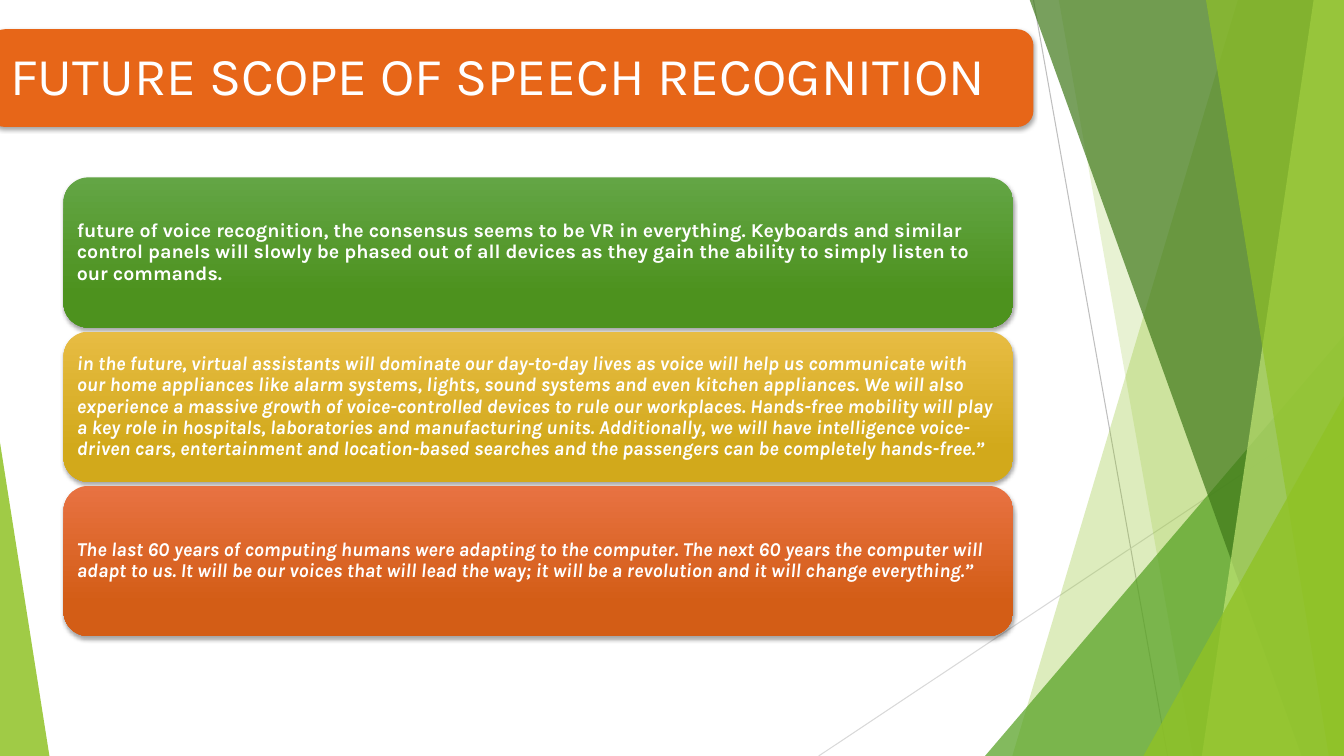
from lxml import etree
from pptx import Presentation
from pptx.dml.color import RGBColor
from pptx.enum.shapes import MSO_CONNECTOR as CONN, MSO_SHAPE as SHAPE
from pptx.enum.text import MSO_ANCHOR as ANCHOR, MSO_AUTO_SIZE as AUTO, PP_ALIGN as ALIGN
from pptx.oxml.ns import qn
from pptx.util import Inches, Pt

C = {
    "white": "FFFFFF", "black": "000000", "grey": "BFBFBF", "light_grey": "D9D9D9",
    "lime": "90C226", "green": "54A021", "dark_green": "3F7819", "pale_lime": "C0E474",
    "orange": "E76618",
    "green_top": "63A545", "green_end": "4D921E",
    "gold_top": "E7BC43", "gold_end": "D2A91B",
    "red_top": "E87242", "red_end": "D35D16",
}


def write(sp, text, size=14, bold=False, italic=False, inset=0.13):
    tf = sp.text_frame
    tf.word_wrap = True
    tf.auto_size = AUTO.NONE
    tf.vertical_anchor = ANCHOR.MIDDLE
    tf.margin_left = tf.margin_right = tf.margin_top = tf.margin_bottom = Inches(inset)
    p = tf.paragraphs[0]
    p.alignment = ALIGN.LEFT
    p.line_spacing = 0.9
    r = p.add_run()
    r.text = text
    r.font.name = "Karla"
    r.font.size = Pt(size)
    r.font.bold = bold
    r.font.italic = italic
    r.font.color.rgb = RGBColor.from_string(C["white"])


def paint(sp, color, alpha=100, end=None, shadow=False):
    sp.line.fill.background()
    sp.shadow.inherit = False
    if end:
        sp.fill.gradient()
        sp.fill.gradient_angle = 270
        for stop, name, position in zip(sp.fill.gradient_stops, (color, end), (0, 0.78)):
            stop.color.rgb = RGBColor.from_string(C[name])
            stop.position = position
    else:
        sp.fill.solid()
        sp.fill.fore_color.rgb = RGBColor.from_string(C[color])
    spPr = sp._element.spPr
    if alpha < 100:
        clr = spPr.find(qn("a:solidFill")).find(qn("a:srgbClr"))
        etree.SubElement(clr, qn("a:alpha"), val=str(alpha * 1000))
    if shadow:
        outer = etree.SubElement(
            spPr.find(qn("a:effectLst")), qn("a:outerShdw"), blurRad=str(Pt(3)),
            dist=str(Pt(2)), dir="5400000", algn="ctr", rotWithShape="0")
        clr = etree.SubElement(outer, qn("a:srgbClr"), val=C["black"])
        etree.SubElement(clr, qn("a:alpha"), val="35000")


prs = Presentation()
prs.slide_width, prs.slide_height = Inches(13.33), Inches(7.5)
s = prs.slides.add_slide(prs.slide_layouts[5])

for x1, y1, x2, y2, color in [
    (10.25, 0, 11.58, 7.5, "grey"),
    (13.33, 4.03, 8.12, 7.5, "light_grey"),
]:
    line = s.shapes.add_connector(CONN.STRAIGHT, Inches(x1), Inches(y1), Inches(x2), Inches(y2))
    line.line.width = Pt(0.75)
    line.line.color.rgb = RGBColor.from_string(C[color])
    etree.SubElement(line._element.spPr, qn("a:effectLst"))

for kind, geometry, color, alpha in [
    ("band", (12.28, 10.04), "lime", 30),
    ("band", (10.5, 11.83), "lime", 20),
    ("triangle", (9.77, 3.33, 3.56, 4.17, 1), "green", 72),
    ("band", (10.21, 12.91), "dark_green", 70),
    ("band", (13.03, 11.92), "pale_lime", 70),
    ("band", (11.96, 13.18), "lime", 65),
    ("triangle", (11.34, 3.93, 1.99, 3.57, 1), "lime", 80),
    ("triangle", (0, 4.39, 0.49, 3.11, 0), "lime", 85),
]:
    if kind == "band":
        top_x, bottom_x = geometry
        fb = s.shapes.build_freeform(Inches(top_x), Inches(-0.01))
        corners = [(13.33, -0.01), (13.33, 7.5), (bottom_x, 7.5)]
        fb.add_line_segments([(Inches(x), Inches(y)) for x, y in corners], close=True)
        facet = fb.convert_to_shape()
    else:
        *box, apex = geometry
        facet = s.shapes.add_shape(SHAPE.ISOSCELES_TRIANGLE, *map(Inches, box))
        facet.adjustments[0] = apex
    paint(facet, color, alpha)

banner = s.shapes.add_shape(
    SHAPE.ROUNDED_RECTANGLE, Inches(-0.11), Inches(0.29), Inches(10.36), Inches(0.97))
paint(banner, "orange", shadow=True)

title = s.shapes.title
title.left, title.top = Inches(-0.06), Inches(0.34)
title.width, title.height = Inches(10.27), Inches(0.88)
write(title, "FUTURE SCOPE OF SPEECH RECOGNITION", size=38, inset=0.16)
s.shapes._spTree.append(title._element)

cards = [
    ("future of voice recognition, the consensus seems to be VR in everything. Keyboards and "
     "similar control panels will slowly be phased out of all devices as they gain the ability "
     "to simply listen to our commands.", "green", False),
    ("in the future, virtual assistants will dominate our day-to-day lives as voice will help us "
     "communicate with our home appliances like alarm systems, lights, sound systems and even "
     "kitchen appliances. We will also experience a massive growth of voice-controlled devices "
     "to rule our workplaces. Hands-free mobility will play a key role in hospitals, laboratories "
     "and manufacturing units. Additionally, we will have intelligence voice-driven cars, "
     "entertainment and location-based searches and the passengers can be completely "
     "hands-free.”", "gold", True),
    ("The last 60 years of computing humans were adapting to the computer. The next 60 years the "
     "computer will adapt to us. It will be our voices that will lead the way; it will be a "
     "revolution and it will change everything.”", "red", True),
]
for i, (text, color, italic) in enumerate(cards):
    card = s.shapes.add_shape(
        SHAPE.ROUNDED_RECTANGLE, Inches(0.63), Inches(1.76 + 1.53 * i), Inches(9.42), Inches(1.49))
    paint(card, f"{color}_top", end=f"{color}_end", shadow=True)
    write(card, text, bold=True, italic=italic, inset=0.06)

prs.save("out.pptx")
